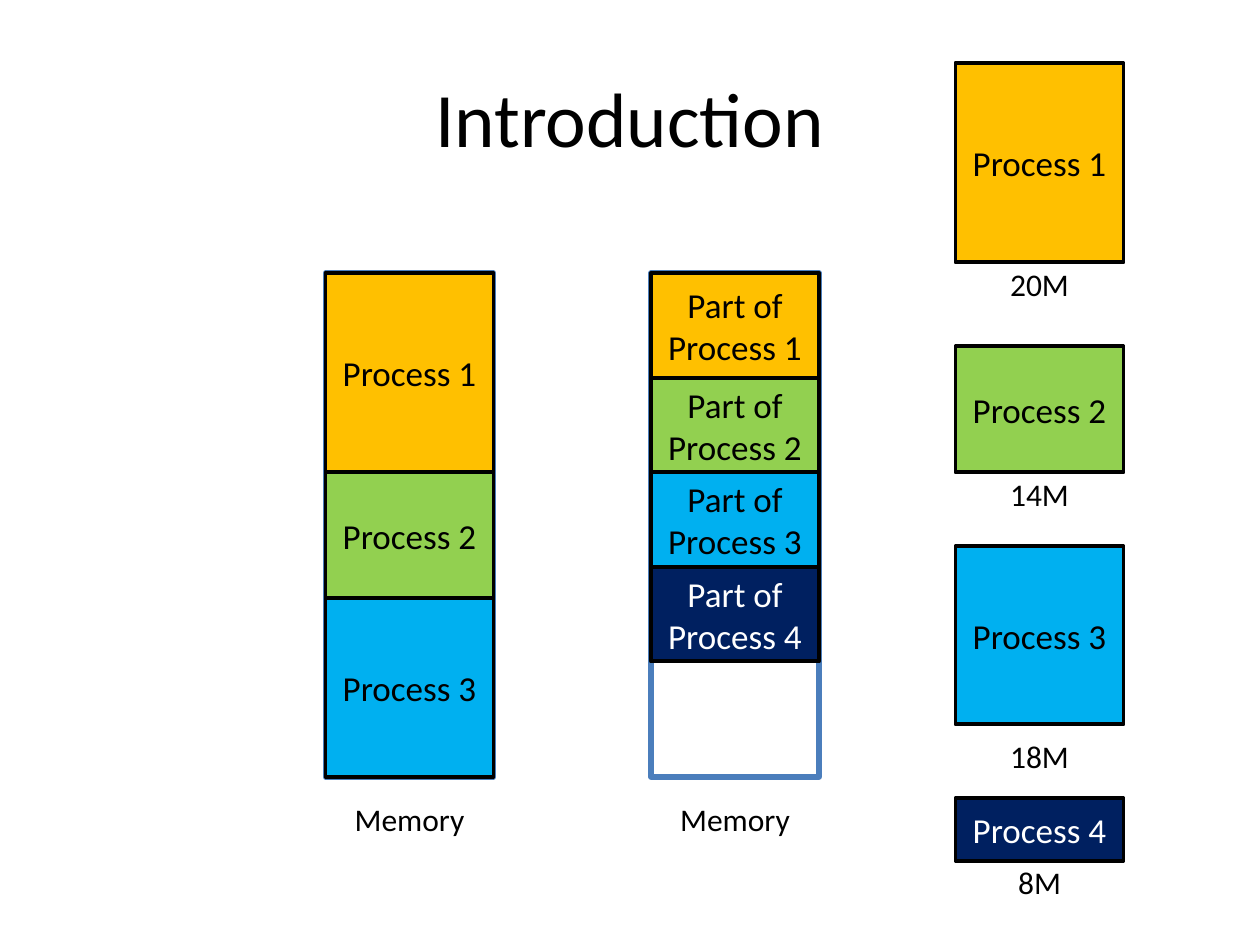
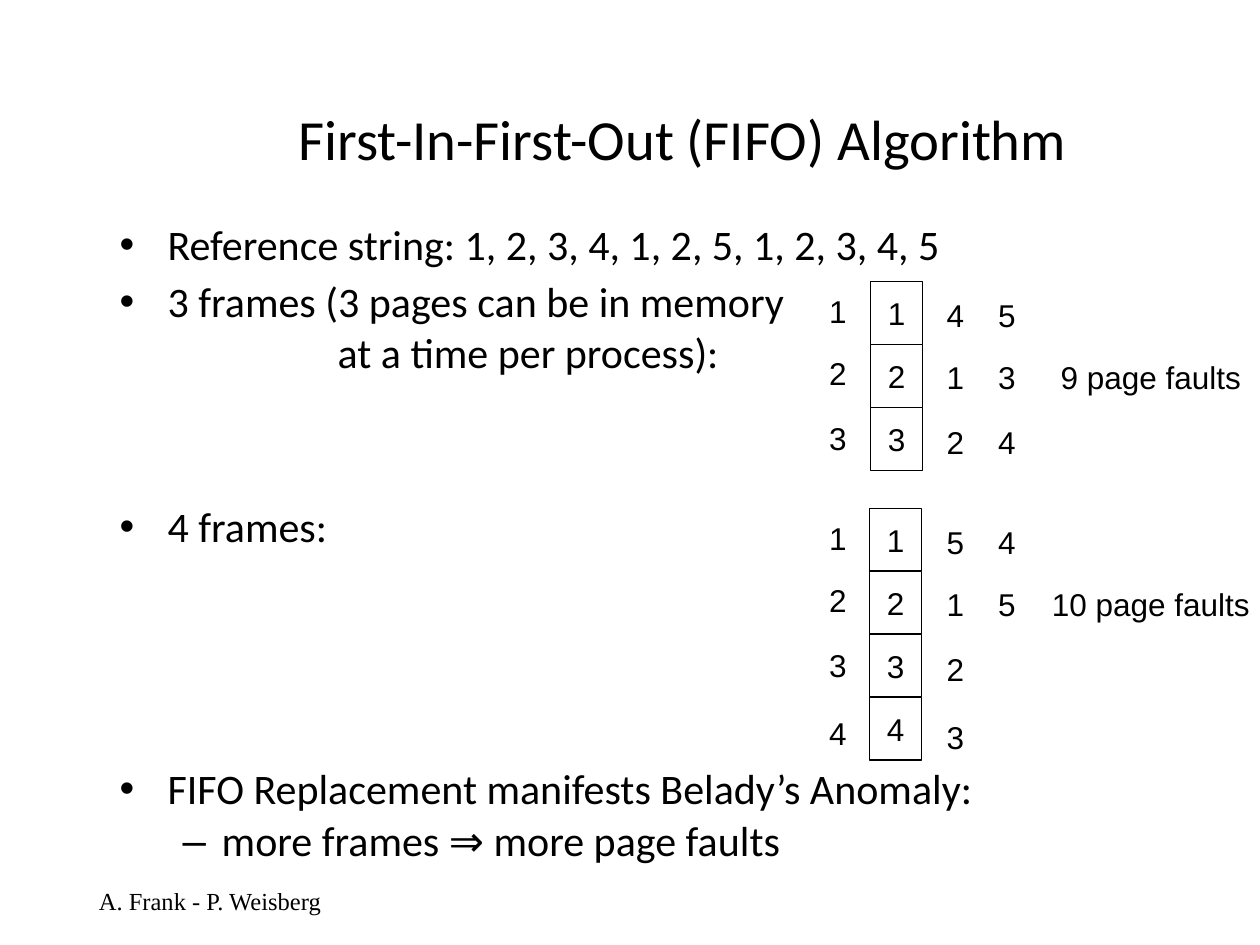
from dataclasses import dataclass
from itertools import accumulate
from typing import NamedTuple

from lxml import etree
from pptx import Presentation
from pptx import util as u
from pptx.dml import color
from pptx.enum import shapes, text
from pptx.oxml import ns

COLS, ROWS = 120, 90  # twelve cells to the inch


@dataclass(frozen=True)
class Theme:
    ink: str = "000000"
    paper: str = "FFFFFF"
    frame: str = "4B7EBC"
    gold: str = "FFC000"
    green: str = "92D050"
    sky: str = "00B0F0"
    navy: str = "002060"
    sans: str = "Calibri"
    plain: str = "Arial"
    serif: str = "Times New Roman"
    title: float = 44
    head: float = 32.4
    body: float = 24
    block: float = 20
    label: float = 18
    foot: float = 14


T = Theme()


class Box(NamedTuple):
    """Left, top, width and height in grid cells."""
    x: float
    y: float
    w: float
    h: float


class Style(NamedTuple):
    size: float
    font: str = T.sans
    ink: str = T.ink


class Job(NamedTuple):
    num: int
    size: str
    fill: str
    ink: str
    high: int   # height of the whole process
    held: int   # height of the share held in memory
    top: int    # top in the right-hand column
    note: int   # top of the size label


class Point(NamedTuple):
    words: str
    mark: str = "•"
    left: float = 0.38
    hang: float = 0.38
    gap: float = 4
    lead: float = 1.0


class Run(NamedTuple):
    """One run of the paging algorithm: page numbers by column."""
    x: float
    y: float
    held: str
    later: tuple[str, ...]
    faults: str


JOBS = [
    Job(1, "20M", T.gold, T.ink, 19, 10, 6, 25),
    Job(2, "14M", T.green, T.ink, 12, 9, 33, 45),
    Job(3, "18M", T.sky, T.ink, 17, 9, 52, 70),
    Job(4, "8M", T.navy, T.paper, 6, 9, 76, 82),
]
WIDE, TOP, DEEP = 16, 26, 48  # memory column

POINTS = [
    Point("Reference string: 1, 2, 3, 4, 1, 2, 5, 1, 2, 3, 4, 5"),
    Point("3 frames (3 pages can be in memory"),
    Point("at a time per process):", "", 1.73, 0, 0),
    Point("4 frames:", gap=71),
    Point("FIFO Replacement manifests Belady’s Anomaly:", gap=124, lead=0.9),
    Point("more frames ⇒ more page faults", "–", 0.81, 0.31, 4, 0.9),
]

RUNS = [
    Run(82.9, 26.8, "123", ("412", "534"), "9 page faults"),
    Run(82.8, 48.4, "1234", ("5123", "45"), "10 page faults"),
]
CELL = (5, 6)
MIDS = (2.8, 8.7, 14.9, 21.4)  # label centres below the top of a run
DROP = 0.4                    # later pages sit a little lower
LEFT, LATER, FAULTS = 79.8, (91, 95.9), 109.6


def put(obj, vals: dict) -> None:
    for name, val in vals.items():
        setattr(obj, name, val)


def place(box: Box, deck) -> tuple[int, ...]:
    wide, high = deck.slide_width / COLS, deck.slide_height / ROWS
    return tuple(round(n) for n in
                 (box.x * wide, box.y * high, box.w * wide, box.h * high))


def rgb(code: str) -> color.RGBColor:
    return color.RGBColor.from_string(code)


def ink(para, words: str, style: Style) -> None:
    run = para.add_run()
    put(run, {"text": words})
    put(run.font, {"size": u.Pt(style.size), "name": style.font})
    run.font.color.rgb = rgb(style.ink)


def setup(frame, wrap: bool, anchor) -> None:
    put(frame, {"margin_left": 0, "margin_right": 0, "margin_top": 0,
                "margin_bottom": 0, "word_wrap": wrap,
                "vertical_anchor": anchor})


def fill_in(shape, words: str, style: Style, wrap: bool) -> None:
    frame = shape.text_frame
    setup(frame, wrap, text.MSO_ANCHOR.MIDDLE)
    para = frame.paragraphs[0]
    para.alignment = text.PP_ALIGN.CENTER
    ink(para, words, style)


class Page:
    def __init__(self, deck) -> None:
        self.deck = deck
        self.draw = deck.slides.add_slide(deck.slide_layouts[6]).shapes

    def label(self, box: Box, words: str, style: Style,
              wrap: bool = True) -> None:
        shape = self.draw.add_textbox(*place(box, self.deck))
        fill_in(shape, words, style, wrap)

    def rect(self, box: Box, fill: str = "", line: str = T.ink,
             width: float = 2.25, words: str = "",
             style: Style = Style(T.block), wrap: bool = True) -> None:
        kind = shapes.MSO_SHAPE.RECTANGLE
        shape = self.draw.add_shape(kind, *place(box, self.deck))
        shape.shadow.inherit = False
        if fill:
            shape.fill.solid()
            shape.fill.fore_color.rgb = rgb(fill)
        else:
            shape.fill.background()
        shape.line.color.rgb = rgb(line)
        shape.line.width = u.Pt(width)
        if words:
            fill_in(shape, words, style, wrap)

    def points(self, box: Box, items: list[Point]) -> None:
        frame = self.draw.add_textbox(*place(box, self.deck)).text_frame
        setup(frame, True, text.MSO_ANCHOR.TOP)
        for i, item in enumerate(items):
            para = frame.add_paragraph() if i else frame.paragraphs[0]
            put(para, {"space_before": u.Pt(item.gap),
                       "line_spacing": item.lead})
            bullet(para, item)
            ink(para, item.words, Style(T.body))


def bullet(para, item: Point) -> None:
    """Set the hanging indent and, if there is one, the bullet mark."""
    prop = para._p.get_or_add_pPr()
    prop.set("marL", str(u.Inches(item.left)))
    prop.set("indent", str(-u.Inches(item.hang)))
    if item.mark:
        font = etree.SubElement(prop, ns.qn("a:buFont"))
        font.set("typeface", T.plain)
        mark = etree.SubElement(prop, ns.qn("a:buChar"))
        mark.set("char", item.mark)


def block(page: Page, job: Job, x: float, y: float, high: float,
          lead: str = "") -> None:
    page.rect(Box(x, y, WIDE, high), job.fill,
              words=f"{lead}Process {job.num}",
              style=Style(T.block, ink=job.ink))


def memory(page: Page, x: float, jobs: list[Job], highs: list[int],
           lead: str = "") -> None:
    """Stack jobs from the top of one memory column."""
    page.rect(Box(x, TOP, WIDE, DEEP), line=T.frame, width=3)
    tops = accumulate(highs, initial=TOP)
    for job, y, high in zip(jobs, tops, highs):
        block(page, job, x, y, high, lead)
    page.label(Box(x, TOP + DEEP + 2, WIDE, 4), "Memory", Style(T.label))


def intro(deck) -> None:
    page = Page(deck)
    page.label(Box(6, 3.6, 108, 15), "Introduction", Style(T.title))
    whole = JOBS[:3]
    memory(page, 31, whole, [job.high for job in whole])
    memory(page, 62, JOBS, [job.held for job in JOBS], "Part of ")
    for job in JOBS:
        block(page, job, 91, job.top, job.high)
        page.label(Box(91, job.note, WIDE, 4), job.size, Style(T.label))


def paging(page: Page, run: Run) -> None:
    style = Style(T.label, T.plain)
    wide, high = CELL

    def mark(mid: float, y: float, words: str, span: float = 4) -> None:
        box = Box(mid - span / 2, run.y + y - 2.4, span, 4.8)
        page.label(box, words, style, False)

    for i, num in enumerate(run.held):
        page.rect(Box(run.x, run.y + i * high, wide, high), T.paper,
                  width=0.75, words=num, style=style, wrap=False)
        mark(LEFT, MIDS[i], num)
    for mid, nums in zip(LATER, run.later):
        for y, num in zip(MIDS, nums):
            mark(mid, y + DROP, num)
    mark(FAULTS, MIDS[1] + DROP, run.faults, 20)


def fifo(deck) -> None:
    page = Page(deck)
    page.label(Box(6, 83.4, 28, 4.8), "A. Frank - P. Weisberg",
               Style(T.foot, T.serif))
    page.label(Box(10, 9.1, 110, 8), "First-In-First-Out (FIFO) Algorithm",
               Style(T.head))
    page.points(Box(11.4, 20.8, 107.4, 67.8), POINTS)
    for run in RUNS:
        paging(page, run)


def main() -> None:
    deck = Presentation()
    put(deck, {"slide_width": u.Inches(10), "slide_height": u.Inches(7.5)})
    intro(deck)
    fifo(deck)
    deck.save("out.pptx")


if __name__ == "__main__":
    main()
